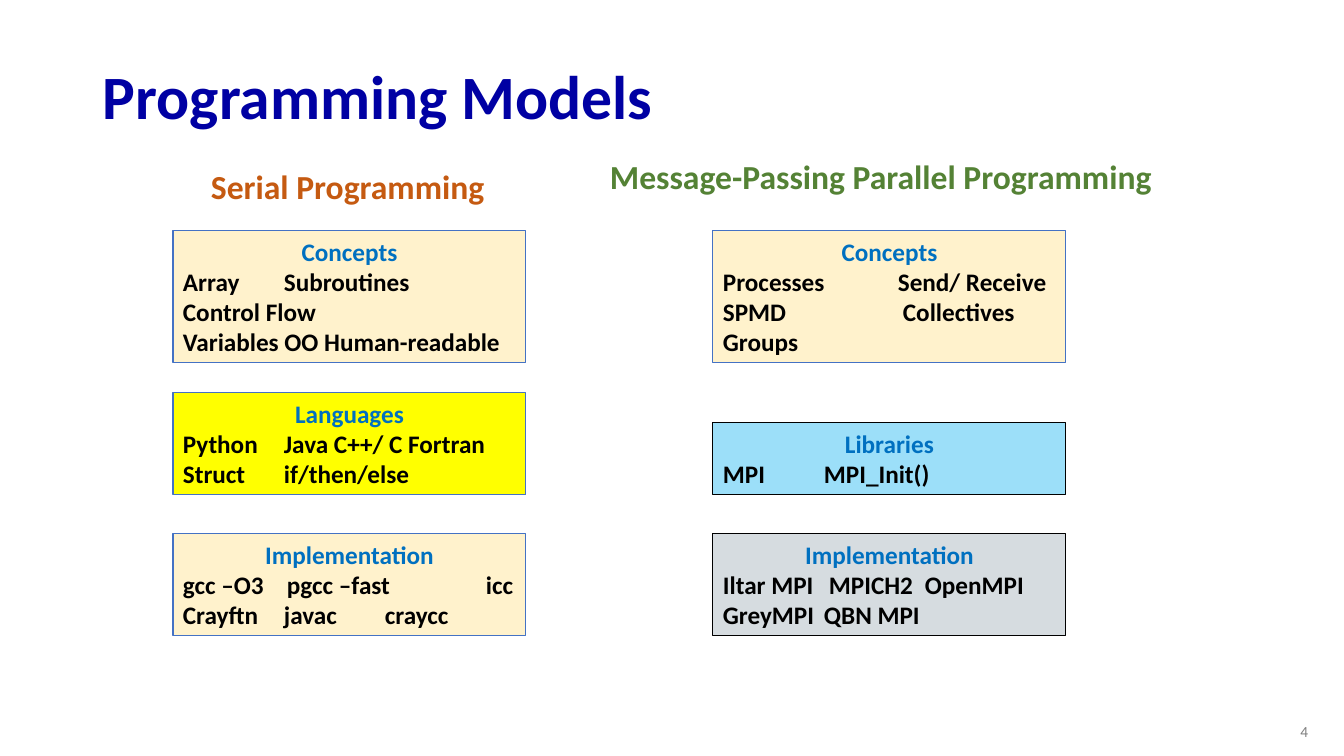
from lxml.etree import SubElement
from pptx import Presentation
from pptx.dml.color import RGBColor
from pptx.enum.shapes import MSO_SHAPE
from pptx.enum.text import MSO_ANCHOR, PP_ALIGN
from pptx.oxml.ns import qn
from pptx.util import Emu, Pt

EMU_PER_PX = 914400 / 100.8
FONT = "Calibri"
INCH = 101
SERIAL_LEFT, PARALLEL_LEFT = 173, 713
BOX_WIDTH = 353
CREAM, BLUE_LINE, BLACK = "FFF2CC", "4472C4", "000000"

BOXES = [
    (SERIAL_LEFT, 231, 132, CREAM, BLUE_LINE, "Concepts", [
        ("Array\tSubroutines", [INCH]),
        ("Control Flow", []),
        ("Variables OO Human-readable", [])]),
    (SERIAL_LEFT, 393, 102, "FFFF00", BLUE_LINE, "Languages", [
        ("Python\tJava C++/ C Fortran", [INCH]),
        ("Struct\tif/then/else", [INCH])]),
    (SERIAL_LEFT, 534, 102, CREAM, BLUE_LINE, "Implementation", [
        ("gcc –O3\tpgcc –fast\ticc", [104, 3 * INCH]),
        ("Crayftn\tjavac\tcraycc", [INCH, 2 * INCH])]),
    (PARALLEL_LEFT, 231, 132, CREAM, BLUE_LINE, "Concepts", [
        ("Processes\tSend/ Receive", [175]),
        ("SPMD\tCollectives", [180]),
        ("Groups", [])]),
    (PARALLEL_LEFT, 423, 72, "9CDFF9", BLACK, "Libraries", [
        ("MPI\tMPI_Init()", [INCH])]),
    (PARALLEL_LEFT, 534, 102, "D6DCE0", BLACK, "Implementation", [
        ("Iltar MPI\tMPICH2\tOpenMPI", [106, 2 * INCH]),
        ("GreyMPI\tQBN MPI", [INCH])]),
]


def px(length):
    """Turn pixels into EMU."""
    return Emu(round(length * EMU_PER_PX))


def color(value):
    """Turn a hex string into a colour."""
    return RGBColor.from_string(value)


def format_paragraph(paragraph, size, text_color, bold=True, align=PP_ALIGN.LEFT):
    """Set alignment and the look of every run."""
    paragraph.alignment = align
    for run in paragraph.runs:
        run.font.name = FONT
        run.font.size = Pt(size)
        run.font.bold = bold
        run.font.color.rgb = color(text_color)


def set_tabs(paragraph, stops):
    """Give a paragraph left tab stops, measured in pixels."""
    tab_list = SubElement(paragraph._p.get_or_add_pPr(), qn("a:tabLst"))
    for stop in stops:
        SubElement(tab_list, qn("a:tab"), pos=str(px(stop)), algn="l")


def add_label(slide, bounds, text, size, text_color, bold=True,
              align=PP_ALIGN.LEFT, anchor=MSO_ANCHOR.TOP, wrap=False):
    """Add a one-line text box and return its paragraph."""
    text_frame = slide.shapes.add_textbox(*map(px, bounds)).text_frame
    text_frame.word_wrap = wrap
    text_frame.vertical_anchor = anchor
    text_frame.text = text
    paragraph = text_frame.paragraphs[0]
    format_paragraph(paragraph, size, text_color, bold, align)
    return paragraph


def add_topic_box(slide, left, top, height, fill, line, heading, rows):
    """Add a filled box with a centred heading and tabbed rows."""
    shape = slide.shapes.add_shape(
        MSO_SHAPE.RECTANGLE, px(left), px(top), px(BOX_WIDTH), px(height))
    shape.shadow.inherit = False
    shape.fill.solid()
    shape.fill.fore_color.rgb = color(fill)
    shape.line.color.rgb = color(line)
    shape.line.width = Pt(0.75)
    text_frame = shape.text_frame
    text_frame.word_wrap = True
    text_frame.vertical_anchor = MSO_ANCHOR.TOP
    text_frame.text = heading
    format_paragraph(text_frame.paragraphs[0], 18, "0070C0", align=PP_ALIGN.CENTER)
    for text, stops in rows:
        paragraph = text_frame.add_paragraph()
        paragraph.text = text
        if stops:
            set_tabs(paragraph, stops)
        format_paragraph(paragraph, 18, BLACK)


def main():
    """Build the slide and save it."""
    presentation = Presentation()
    presentation.slide_width = px(1344)
    presentation.slide_height = px(756)
    slide = presentation.slides.add_slide(presentation.slide_layouts[6])
    title = add_label(slide, (93, 50, 1159, 99), "Programming Models", 44,
                      "0000A3", anchor=MSO_ANCHOR.MIDDLE, wrap=True)
    title.line_spacing = 0.9
    add_label(slide, (201, 161, 296, 50), "Serial Programming", 24, "C55A11")
    add_label(slide, (600, 151, 568, 50),
              "Message-Passing Parallel Programming", 24, "548235")
    for box in BOXES:
        add_topic_box(slide, *box)
    add_label(slide, (1016, 711, 302, 40), "4", 11, "808080", bold=False,
              align=PP_ALIGN.RIGHT, anchor=MSO_ANCHOR.MIDDLE, wrap=True)
    presentation.save("out.pptx")


if __name__ == "__main__":
    main()
